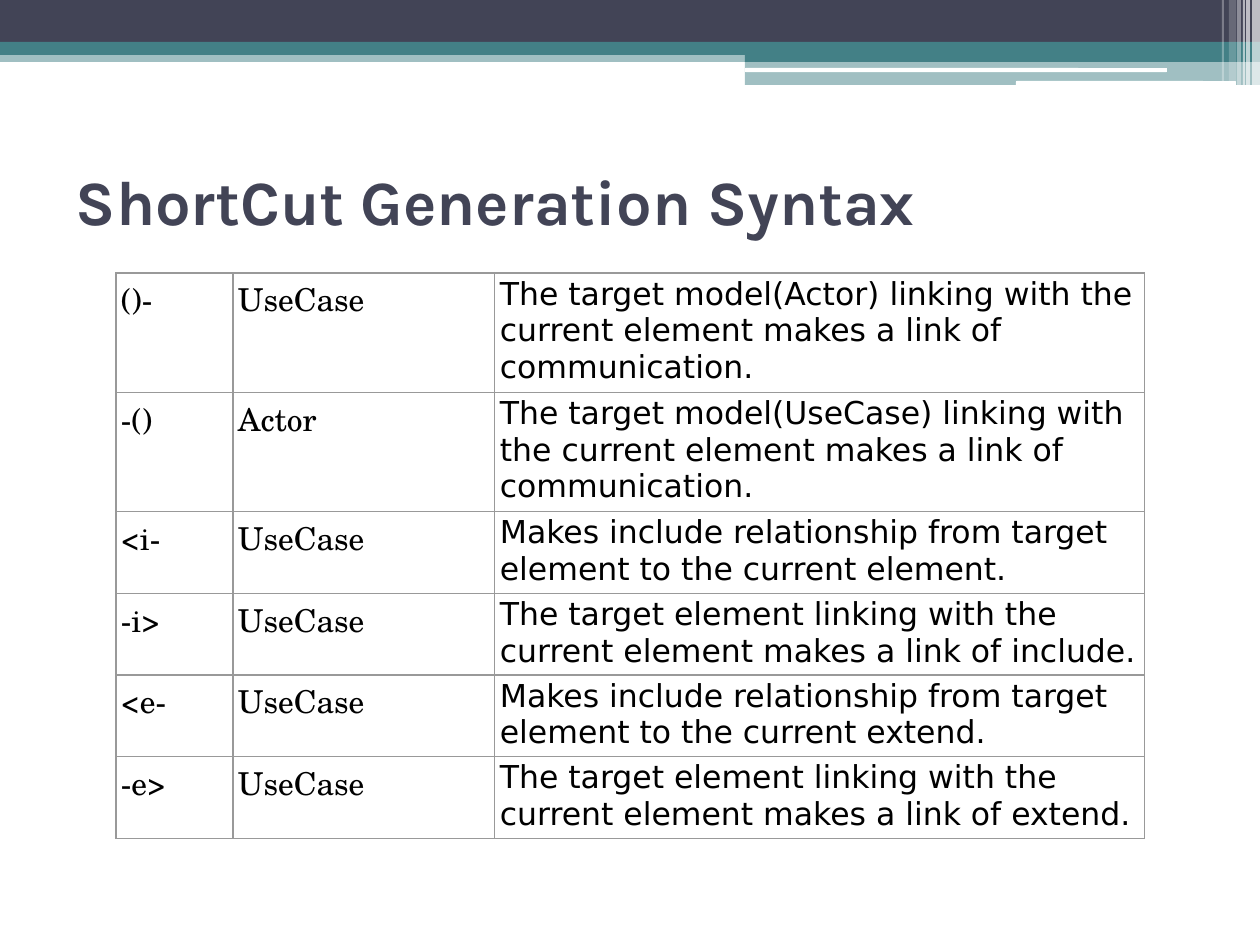
from typing import NamedTuple

from lxml import etree
from pptx import Presentation
from pptx.dml.color import RGBColor
from pptx.enum.shapes import MSO_SHAPE
from pptx.enum.text import MSO_ANCHOR
from pptx.oxml.ns import qn
from pptx.util import Emu, Pt

RECT, ROUND = MSO_SHAPE.RECTANGLE, MSO_SHAPE.ROUNDED_RECTANGLE
TOP = MSO_ANCHOR.TOP
PX_PER_INCH = 126
COLORS = {"navy": "424456", "teal": "438086", "white": "FFFFFF",
          "black": "000000", "grid": "999999"}


class Bar(NamedTuple):
    left: int
    top: int
    width: int
    height: int
    color: str
    opacity: int = 100
    kind: int = RECT


class Shortcut(NamedTuple):
    syntax: str
    target: str
    meaning: str
    height: int


BARS = [
    Bar(0, 50, 1260, 12, "teal", 50),
    Bar(0, 0, 1260, 43, "navy"),
    Bar(0, 42, 1260, 13, "teal"),
    Bar(745, 49, 515, 13, "teal"),
    Bar(745, 61, 515, 24, "teal", 50),
    Bar(745, 68, 422, 4, "white", 100, ROUND),
    Bar(1016, 81, 220, 5, "white", 100, ROUND),
    Bar(1252, 0, 8, 85, "white", 65),
    Bar(1246, 0, 4, 85, "white", 65),
    Bar(1243, 0, 2, 85, "white", 60),
    Bar(1237, 0, 4, 85, "white", 40),
    Bar(1229, 0, 7, 81, "white", 20),
    Bar(1222, 0, 2, 81, "white", 30),
]

SHORTCUTS = [
    Shortcut("()-", "UseCase", "The target model(Actor) linking with the current "
             "element makes a link of communication.", 116),
    Shortcut("-()", "Actor", "The target model(UseCase) linking with the current "
             "element makes a link of communication.", 116),
    Shortcut("<i-", "UseCase", "Makes include relationship from target element "
             "to the current element.", 79),
    Shortcut("-i>", "UseCase", "The target element linking with the current "
             "element makes a link of include.", 79),
    Shortcut("<e-", "UseCase", "Makes include relationship from target element "
             "to the current extend.", 79),
    Shortcut("-e>", "UseCase", "The target element linking with the current "
             "element makes a link of extend.", 79),
]
COLUMN_WIDTHS = [117, 262, 650]
COLUMN_FONTS = ["TeX Gyre Schola", "TeX Gyre Schola", "DejaVu Sans"]

TITLE_FONT = {"name": "Karla", "size": Pt(36), "bold": True}
TITLE_FRAME = {"word_wrap": True, "vertical_anchor": TOP, "margin_top": 5,
               "margin_left": 13, "margin_right": 13}
CELL_FORMAT = {"margin_left": 5, "margin_right": 5, "margin_top": 3,
               "margin_bottom": 3, "vertical_anchor": TOP}


def px(value: int) -> Emu:
    return Emu(round(value * 914400 / PX_PER_INCH))


def rgb(name: str) -> RGBColor:
    return RGBColor.from_string(COLORS[name])


def apply_format(target, values: dict) -> None:
    """Set attributes, reading margins as px."""
    for name, value in values.items():
        setattr(target, name, px(value) if name.startswith("margin") else value)


def add_run(p, text: str, color: str, font: dict) -> None:
    r = p.add_run()
    r.text = text
    apply_format(r.font, font)
    r.font.color.rgb = rgb(color)


def add_bar(slide, bar: Bar) -> None:
    sp = slide.shapes.add_shape(bar.kind, *map(px, bar[:4]))
    sp.shadow.inherit = False
    sp.line.fill.background()
    sp.fill.solid()
    sp.fill.fore_color.rgb = rgb(bar.color)
    if bar.opacity < 100:
        color = sp.fill._xPr.find(f".//{qn('a:srgbClr')}")
        etree.SubElement(color, qn("a:alpha"), val=str(bar.opacity * 1000))


def add_title(slide, text: str) -> None:
    tf = slide.shapes.add_textbox(px(63), px(157), px(1134), px(147)).text_frame
    apply_format(tf, TITLE_FRAME)
    add_run(tf.paragraphs[0], text, "navy", TITLE_FONT)


def add_borders(cell) -> None:
    tc_pr = cell._tc.get_or_add_tcPr()
    for i, side in enumerate(("lnL", "lnR", "lnT", "lnB")):
        ln = etree.Element(qn(f"a:{side}"), w=str(Pt(0.75)))
        fill = etree.SubElement(ln, qn("a:solidFill"))
        etree.SubElement(fill, qn("a:srgbClr"), val=COLORS["grid"])
        tc_pr.insert(i, ln)


def fill_cell(cell, text: str, font: str) -> None:
    apply_format(cell, CELL_FORMAT)
    cell.fill.solid()
    cell.fill.fore_color.rgb = rgb("white")
    add_borders(cell)
    add_run(cell.text_frame.paragraphs[0], text, "black",
            {"name": font, "size": Pt(18)})


def add_shortcut_table(slide, shortcuts: list[Shortcut]) -> None:
    height = sum(shortcut.height for shortcut in shortcuts)
    table = slide.shapes.add_table(
        len(shortcuts), len(COLUMN_WIDTHS), px(116), px(273),
        px(sum(COLUMN_WIDTHS)), px(height)).table
    apply_format(table, {"first_row": False, "horz_banding": False})
    for column, width in zip(table.columns, COLUMN_WIDTHS):
        column.width = px(width)
    for row, shortcut in zip(table.rows, shortcuts):
        row.height = px(shortcut.height)
        for cell, text, font in zip(row.cells, shortcut[:3], COLUMN_FONTS):
            fill_cell(cell, text, font)


def main() -> None:
    prs = Presentation()
    prs.slide_width, prs.slide_height = px(1260), px(945)
    slide = prs.slides.add_slide(prs.slide_layouts[6])
    for bar in BARS:
        add_bar(slide, bar)
    add_title(slide, "ShortCut Generation Syntax")
    add_shortcut_table(slide, SHORTCUTS)
    prs.save("out.pptx")


if __name__ == "__main__":
    main()
